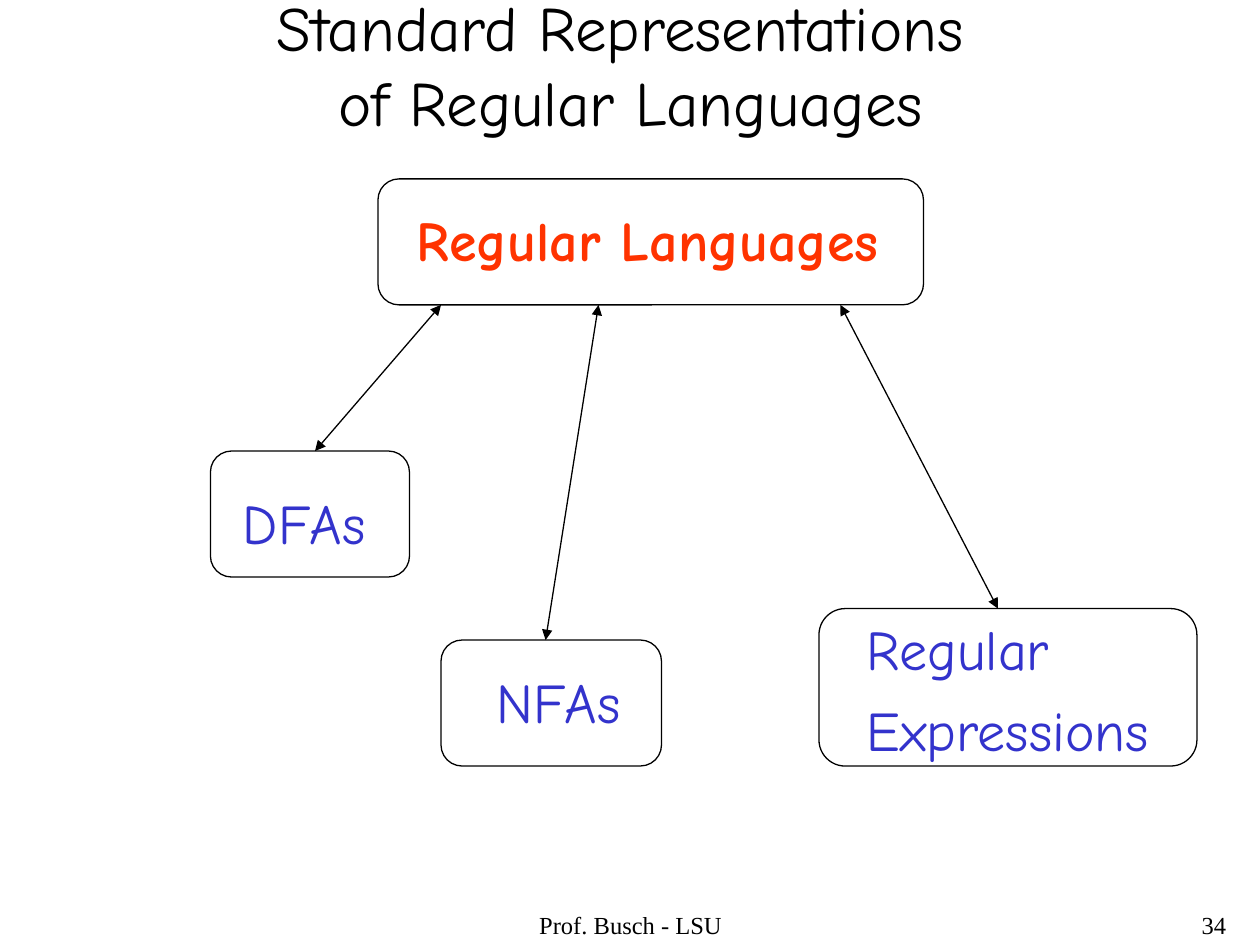
from pptx import Presentation
from pptx.dml.color import RGBColor
from pptx.enum.shapes import MSO_CONNECTOR as Connector, MSO_SHAPE as Shape
from pptx.enum.text import MSO_ANCHOR as Anchor, MSO_AUTO_SIZE as AutoSize, PP_ALIGN as Align
from pptx.oxml.ns import qn
from pptx.util import Inches, Pt
from lxml.etree import SubElement

COLORS = {"ink": "000000", "main": "FF3300", "form": "3333CC"}
TITLE = {"name": "Comic Neue", "size": Pt(36), "bold": False}
LABEL = {"name": "Comic Neue", "size": Pt(32), "bold": False}
LABEL_BOLD = {**LABEL, "bold": True}
FOOTER = {"name": "Times New Roman", "size": Pt(14), "bold": False}

# label lines, label area, frame area, colour, font
NODES = [
    (["Regular Languages"], (3.21, 1.58, 3.87, 0.64), (3, 1.42, 4.33, 1), "main", LABEL_BOLD),
    (["DFAs"], (1.83, 3.83, 1.18, 0.64), (1.67, 3.58, 1.58, 1), "form", LABEL),
    (["NFAs"], (3.84, 5.25, 1.19, 0.64), (3.5, 5.08, 1.75, 1), "form", LABEL),
    (["Regular", "Expressions"], (6.78, 4.83, 2.45, 1.28), (6.5, 4.83, 3, 1.25), "form", LABEL),
]
ARROWS = [
    ((3.5, 2.42), (2.5, 3.58)),
    ((4.75, 2.42), (4.33, 5.08)),
    ((6.67, 2.42), (7.92, 4.83)),
]


def inches(values):
    return [Inches(value) for value in values]


def format_font(font, values, color):
    for name, value in values.items():
        setattr(font, name, value)
    font.color.rgb = RGBColor.from_string(COLORS[color])


def add_title(page, text):
    title = page.shapes.title
    title.left, title.top, title.width, title.height = inches((0.17, 0.17, 9.67, 0.67))
    frame = title.text_frame
    frame.auto_size = AutoSize.NONE
    frame.vertical_anchor = Anchor.MIDDLE
    para = frame.paragraphs[0]
    para.text = text
    para.alignment = Align.CENTER
    for span in para.runs:
        format_font(span.font, TITLE, "ink")


def add_text(page, lines, area, font, color, align=Align.LEFT, before=0, wrap=True):
    frame = page.shapes.add_textbox(*inches(area)).text_frame
    frame.word_wrap = wrap
    frame.auto_size = AutoSize.NONE if wrap else AutoSize.SHAPE_TO_FIT_TEXT
    for index, line in enumerate(lines):
        para = frame.add_paragraph() if index else frame.paragraphs[0]
        para.alignment = align
        para.space_before = Pt(before)
        span = para.add_run()
        span.text = line
        format_font(span.font, font, color)


def format_line(line):
    line.color.rgb = RGBColor.from_string(COLORS["ink"])
    line.width = Pt(0.75)


def add_frame(page, area):
    box = page.shapes.add_shape(Shape.ROUNDED_RECTANGLE, *inches(area))
    box.adjustments[0] = 0.167
    box.shadow.inherit = False
    box.fill.background()
    format_line(box.line)


def add_double_arrow(page, start, end):
    arrow = page.shapes.add_connector(Connector.STRAIGHT, *inches(start + end))
    format_line(arrow.line)
    outline = arrow.line._get_or_add_ln()
    for tag in ("a:headEnd", "a:tailEnd"):
        SubElement(outline, qn(tag), type="triangle")
    SubElement(arrow._element.spPr, qn("a:effectLst"))


def main():
    deck = Presentation()
    deck.slide_width, deck.slide_height = inches((10, 7.5))
    page = deck.slides.add_slide(deck.slide_layouts[5])

    add_text(page, ["Prof. Busch - LSU"], (3.42, 7.17, 3.17, 0.33), FOOTER, "ink", Align.CENTER)
    add_text(page, ["34"], (7.75, 7.17, 2.08, 0.33), FOOTER, "ink", Align.RIGHT)
    add_title(page, "Standard Representations \vof Regular Languages")
    for lines, label_area, frame_area, color, font in NODES:
        add_text(page, lines, label_area, font, color, before=8, wrap=False)
        add_frame(page, frame_area)
    for start, end in ARROWS:
        add_double_arrow(page, start, end)

    deck.save("out.pptx")


if __name__ == "__main__":
    main()
